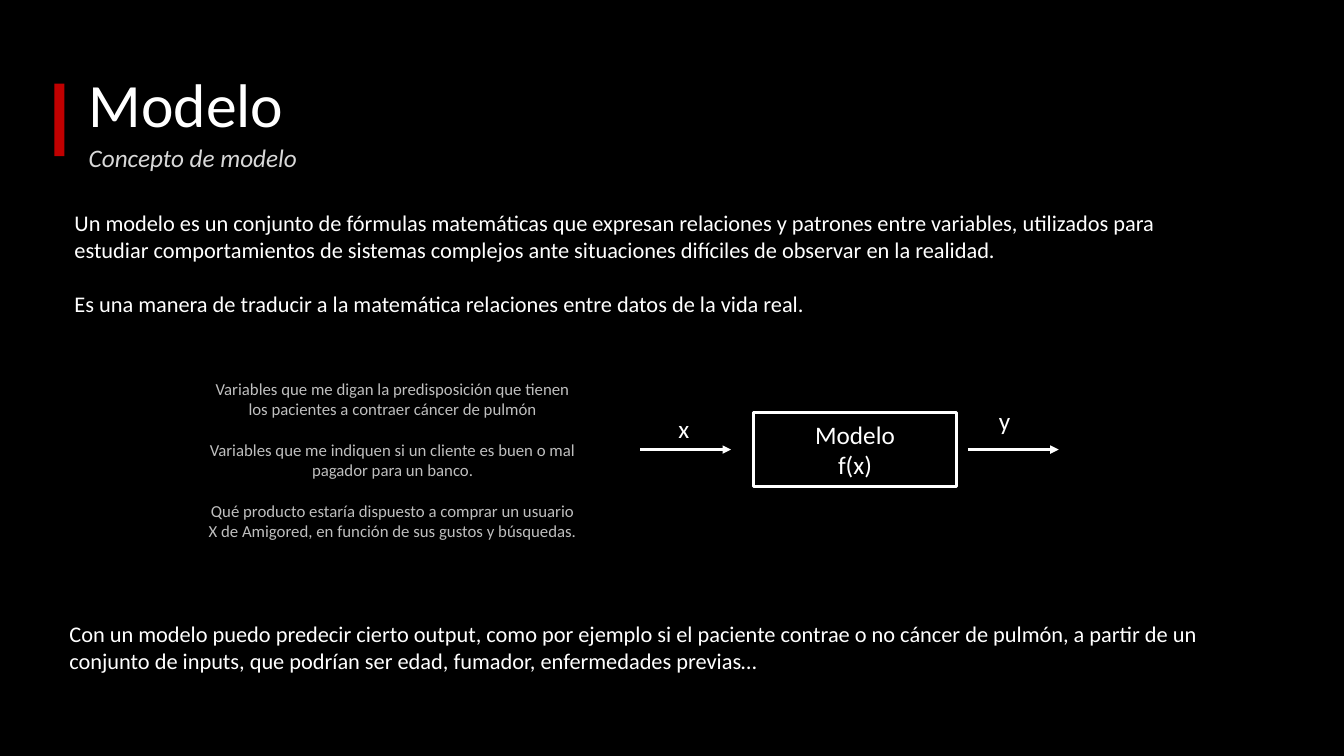
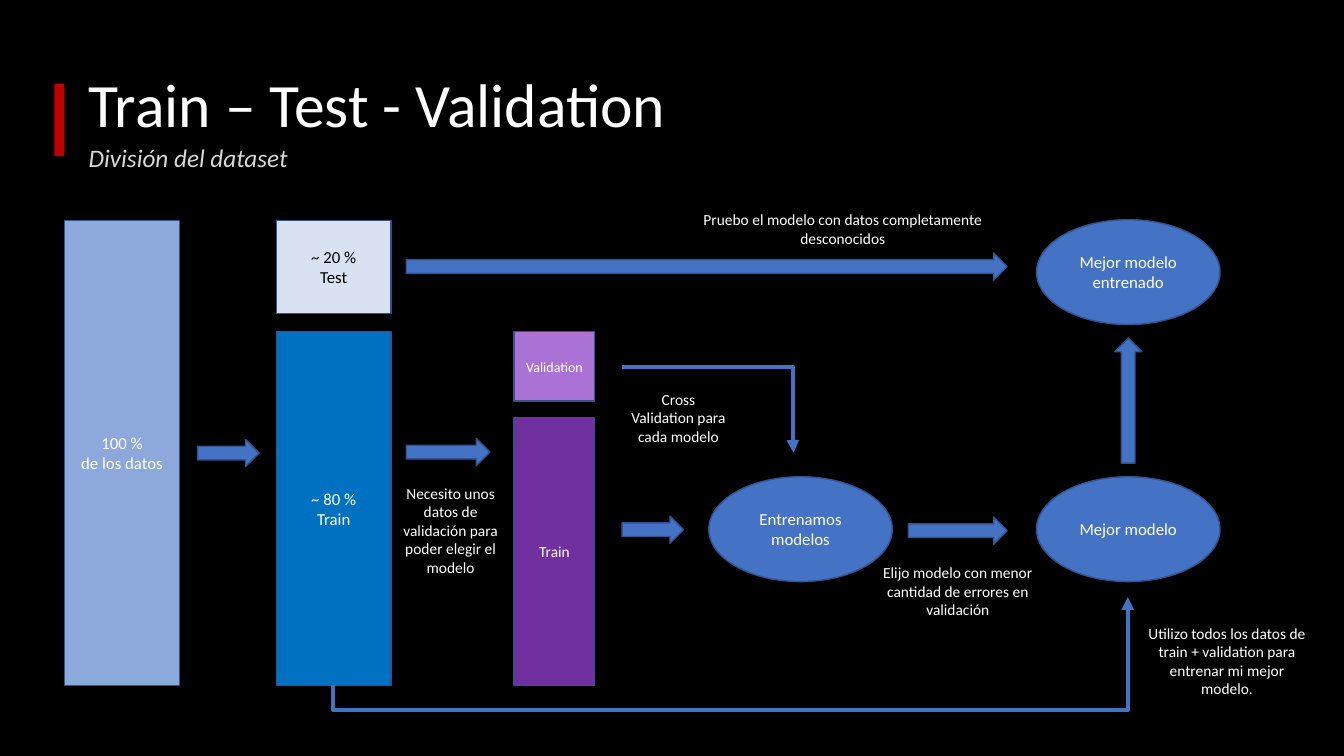
from lxml import etree
from pptx import Presentation
from pptx.dml.color import RGBColor
from pptx.enum.shapes import MSO_CONNECTOR, MSO_SHAPE
from pptx.enum.text import MSO_ANCHOR, MSO_AUTO_SIZE, PP_ALIGN
from pptx.oxml.ns import qn
from pptx.util import Emu, Pt

RECTANGLE, ELLIPSE, RIGHT_ARROW = MSO_SHAPE.RECTANGLE, MSO_SHAPE.OVAL, MSO_SHAPE.RIGHT_ARROW
STRAIGHT, ELBOW = MSO_CONNECTOR.STRAIGHT, MSO_CONNECTOR.ELBOW
LEFT, CENTER = PP_ALIGN.LEFT, PP_ALIGN.CENTER
TOP, MIDDLE = MSO_ANCHOR.TOP, MSO_ANCHOR.MIDDLE
NO_AUTOFIT = MSO_AUTO_SIZE.NONE

BLACK = RGBColor(0x00, 0x00, 0x00)
WHITE = RGBColor(0xFF, 0xFF, 0xFF)
PALE_GRAY = RGBColor(0xD8, 0xD8, 0xD8)
GRAY = RGBColor(0xBF, 0xBF, 0xBF)
RED = RGBColor(0xC0, 0x00, 0x00)
BLUE = RGBColor(0x44, 0x72, 0xC4)
NAVY = RGBColor(0x31, 0x53, 0x8F)
LIGHT_BLUE = RGBColor(0x8D, 0xA9, 0xDB)
PALE_BLUE = RGBColor(0xD8, 0xE2, 0xF3)
STRONG_BLUE = RGBColor(0x00, 0x70, 0xC0)
LILAC = RGBColor(0xAA, 0x72, 0xD4)
PURPLE = RGBColor(0x70, 0x30, 0xA0)

FONT = "Calibri"
PX = 9144
SLIDE_SIZE = (1333, 750)
TITLE_BOX = (78, 34, 1150, 145)
SUBTITLE_BOX = (78, 140, 600, 52)
ACCENT_BAR = (54, 83, 10, 72)

DEFINITION = [
    "Un modelo es un conjunto de fórmulas matemáticas que expresan relaciones y patrones "
    "entre variables, utilizados para estudiar comportamientos de sistemas complejos ante "
    "situaciones difíciles de observar en la realidad.",
    "Es una manera de traducir a la matemática relaciones entre datos de la vida real.",
]
EXAMPLES = [
    "Variables que me digan la predisposición que tienen los pacientes a contraer cáncer "
    "de pulmón",
    "Variables que me indiquen si un cliente es buen o mal pagador para un banco.",
    "Qué producto estaría dispuesto a comprar un usuario X de Amigored, en función de sus "
    "gustos y búsquedas.",
]
CONCLUSION = [
    "Con un modelo puedo predecir cierto output, como por ejemplo si el paciente contrae o "
    "no cáncer de pulmón, a partir de un conjunto de inputs, que podrían ser edad, fumador, "
    "enfermedades previas…",
]
MODEL_TEXTS = [
    ((64, 203, 1164, 116), DEFINITION, 16, WHITE, LEFT, 19.5),
    ((196, 371, 387, 170), EXAMPLES, 12, GRAY, CENTER, 14.6),
    ((59, 610, 1164, 63), CONCLUSION, 16, WHITE, LEFT, 0),
    ((663, 405, 34, 40), ["x"], 18, WHITE, LEFT, 0),
    ((981, 397, 34, 40), ["y"], 18, WHITE, LEFT, 0),
]
MODEL_BOX = (747, 409, 202, 74)
MODEL_LABEL = ["Modelo", "f(x)"]
FLOW_STARTS = (635, 960)
FLOW_LENGTH = 90

DATA_BOTTOM = 680
DATA_BLOCKS = [
    (64, 219, 114, DATA_BOTTOM, LIGHT_BLUE, ["100 %", "de los datos"], 12, WHITE),
    (274, 219, 114, 311, PALE_BLUE, ["~ 20 %", "Test"], 12, BLACK),
    (274, 329, 114, DATA_BOTTOM, STRONG_BLUE, ["~ 80 %", "Train"], 12, WHITE),
    (510, 329, 80, 398, LILAC, ["Validation"], 10, WHITE),
    (510, 414, 80, DATA_BOTTOM, PURPLE, ["Train"], 11, WHITE),
]
STAGE_SIZE = (182, 104)
STAGES = [
    (703, 473, "Entrenamos modelos"),
    (1028, 473, "Mejor modelo"),
    (1028, 218, "Mejor modelo entrenado"),
]
ARROW_THICKNESS = 27
BLOCK_ARROWS = [
    (196, 436, 61, 0),
    (403, 435, 83, 0),
    (617, 512, 61, 0),
    (403, 251, 596, 0),
    (901, 513, 98, 0),
    (1057, 384, 124, 270),
]
NOTES = [
    ((390, 475, 114, 101), "Necesito unos datos de validación para poder elegir el modelo"),
    ((616, 382, 114, 65), "Cross Validation para cada modelo"),
    ((859, 554, 182, 65), "Elijo modelo con menor cantidad de errores en validación"),
    ((1126, 614, 182, 83),
     "Utilizo todos los datos de train + validation para entrenar mi mejor modelo."),
    ((686, 204, 300, 47), "Pruebo el modelo con datos completamente desconocidos"),
]
VALIDATION_PATH = ((617, 364), (787, 449))
RETRAIN_PATH = ((331, 680), (1119, 593))
RETRAIN_DROP = 25


def px(*lengths):
    return [Emu(length * PX) for length in lengths]


def write(frame, lines, size, color, align=CENTER, anchor=MIDDLE, gap=0, italic=False,
          spacing=1.0):
    frame.word_wrap = True
    frame.auto_size = NO_AUTOFIT
    frame.vertical_anchor = anchor
    for index, line in enumerate(lines):
        paragraph = frame.add_paragraph() if index else frame.paragraphs[0]
        paragraph.alignment = align
        paragraph.line_spacing = spacing
        paragraph.space_before = Pt(gap if index else 0)
        run = paragraph.add_run()
        run.text = line
        run.font.name = FONT
        run.font.size = Pt(size)
        run.font.italic = italic
        run.font.color.rgb = color


def add_text(slide, box, lines, size, color, align=CENTER, gap=0):
    frame = slide.shapes.add_textbox(*px(*box)).text_frame
    write(frame, lines, size, color, align, TOP, gap)


def add_block(slide, kind, box, fill=None, line=None, width=1):
    block = slide.shapes.add_shape(kind, *px(*box))
    block.shadow.inherit = False
    if fill is None:
        block.fill.background()
    else:
        block.fill.solid()
        block.fill.fore_color.rgb = fill
    if line is None:
        block.line.fill.background()
    else:
        block.line.color.rgb = line
        block.line.width = Pt(width)
    return block


def add_arrow(slide, kind, start, end, color, width):
    arrow = slide.shapes.add_connector(kind, *px(*start, *end))
    arrow.line.color.rgb = color
    arrow.line.width = Pt(width)
    etree.SubElement(arrow.line._get_or_add_ln(), qn("a:tailEnd"), type="triangle")
    etree.SubElement(arrow._element.spPr, qn("a:effectLst"))
    return arrow


def set_bend(arrow, share):
    guides = arrow._element.spPr.find(qn("a:prstGeom")).find(qn("a:avLst"))
    etree.SubElement(guides, qn("a:gd"), name="adj1", fmla=f"val {round(share * 100000)}")


def leave_downwards(arrow, start, end, drop):
    across, rise = end[0] - start[0], start[1] - end[1]
    center_x, center_y = (start[0] + end[0]) / 2, (start[1] + end[1]) / 2
    arrow.left, arrow.top = px(int(center_x - rise / 2), int(center_y - across / 2))
    arrow.width, arrow.height = px(rise, across)
    frame = arrow._element.spPr.find(qn("a:xfrm"))
    for name, value in (("rot", "5400000"), ("flipH", "1"), ("flipV", "1")):
        frame.set(name, value)
    set_bend(arrow, -drop / rise)


def place(placeholder, box):
    placeholder.left, placeholder.top, placeholder.width, placeholder.height = px(*box)


def start_slide(deck, title, subtitle):
    slide = deck.slides.add_slide(deck.slide_layouts[1])
    heading, subheading = slide.shapes.title, slide.placeholders[1]
    place(heading, TITLE_BOX)
    write(heading.text_frame, [title], 44, WHITE, LEFT, spacing=0.9)
    place(subheading, SUBTITLE_BOX)
    properties = subheading.text_frame.paragraphs[0]._p.get_or_add_pPr()
    properties.set("marL", "0")
    properties.set("indent", "0")
    etree.SubElement(properties, qn("a:buNone"))
    write(subheading.text_frame, [subtitle], 18, PALE_GRAY, LEFT, TOP, italic=True,
          spacing=0.9)
    add_block(slide, RECTANGLE, ACCENT_BAR, RED)
    return slide


def build_model(deck):
    slide = start_slide(deck, "Modelo", "Concepto de modelo")
    model = add_block(slide, RECTANGLE, MODEL_BOX, line=WHITE, width=2)
    write(model.text_frame, MODEL_LABEL, 18, WHITE)
    flow_y = MODEL_BOX[1] + MODEL_BOX[3] // 2
    for x in FLOW_STARTS:
        add_arrow(slide, STRAIGHT, (x, flow_y), (x + FLOW_LENGTH, flow_y), WHITE, 2)
    for box, lines, size, color, align, gap in MODEL_TEXTS:
        add_text(slide, box, lines, size, color, align, gap)


def build_split(deck):
    slide = start_slide(deck, "Train – Test - Validation", "División del dataset")
    for left, top, width, bottom, fill, lines, size, color in DATA_BLOCKS:
        block = add_block(slide, RECTANGLE, (left, top, width, bottom - top), fill, NAVY)
        write(block.text_frame, lines, size, color)
    for left, top, label in STAGES:
        stage = add_block(slide, ELLIPSE, (left, top, *STAGE_SIZE), BLUE, NAVY)
        write(stage.text_frame, [label], 12, WHITE)
    for left, top, length, angle in BLOCK_ARROWS:
        box = (left, top, length, ARROW_THICKNESS)
        add_block(slide, RIGHT_ARROW, box, BLUE, NAVY).rotation = angle
    set_bend(add_arrow(slide, ELBOW, *VALIDATION_PATH, BLUE, 3), 0.997)
    retrain = add_arrow(slide, ELBOW, *RETRAIN_PATH, BLUE, 3)
    leave_downwards(retrain, *RETRAIN_PATH, RETRAIN_DROP)
    for box, note in NOTES:
        add_text(slide, box, [note], 11, WHITE)


def main():
    deck = Presentation()
    deck.slide_width, deck.slide_height = px(*SLIDE_SIZE)
    background = deck.slide_master.background.fill
    background.solid()
    background.fore_color.rgb = BLACK
    build_model(deck)
    build_split(deck)
    deck.save("out.pptx")


if __name__ == "__main__":
    main()
